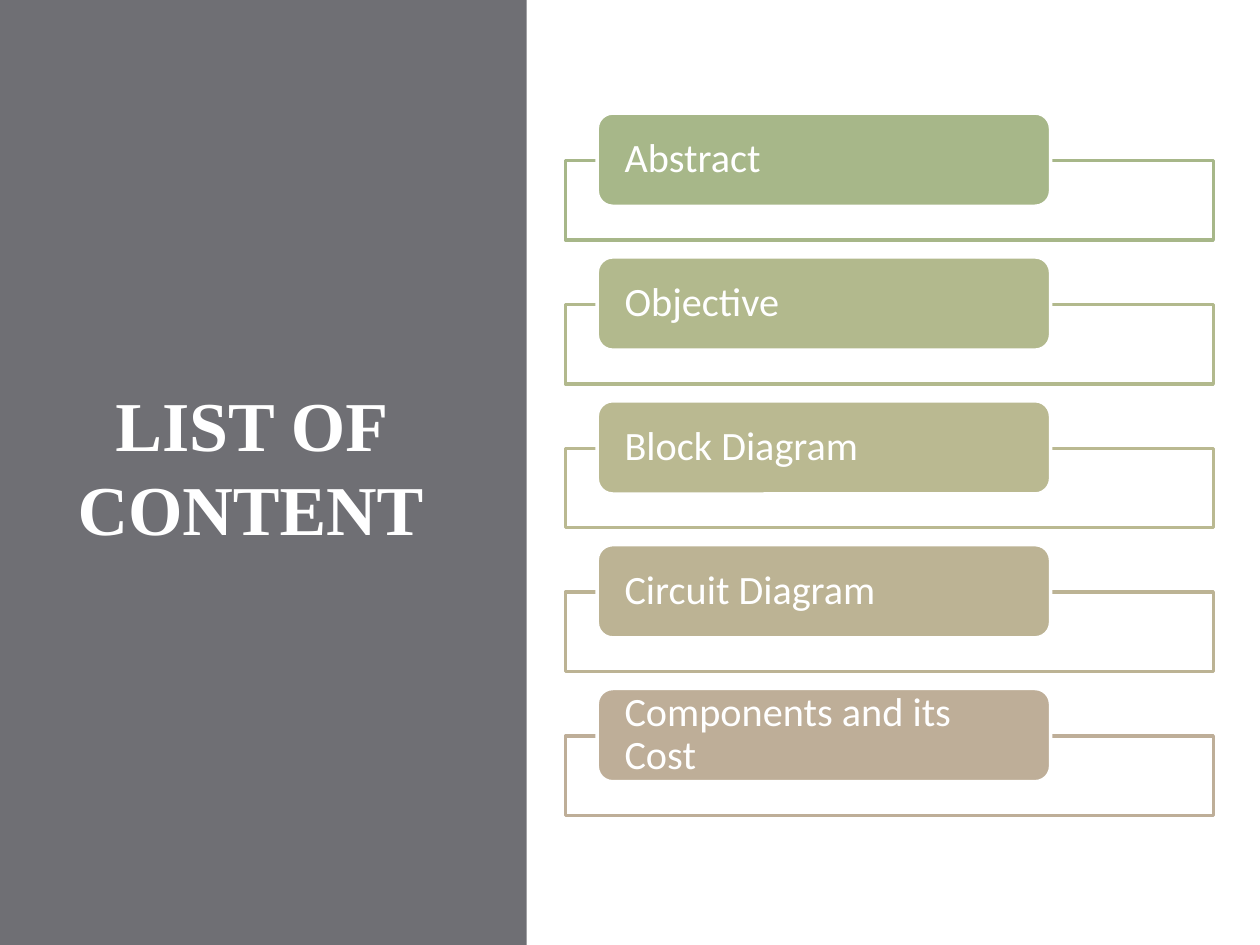
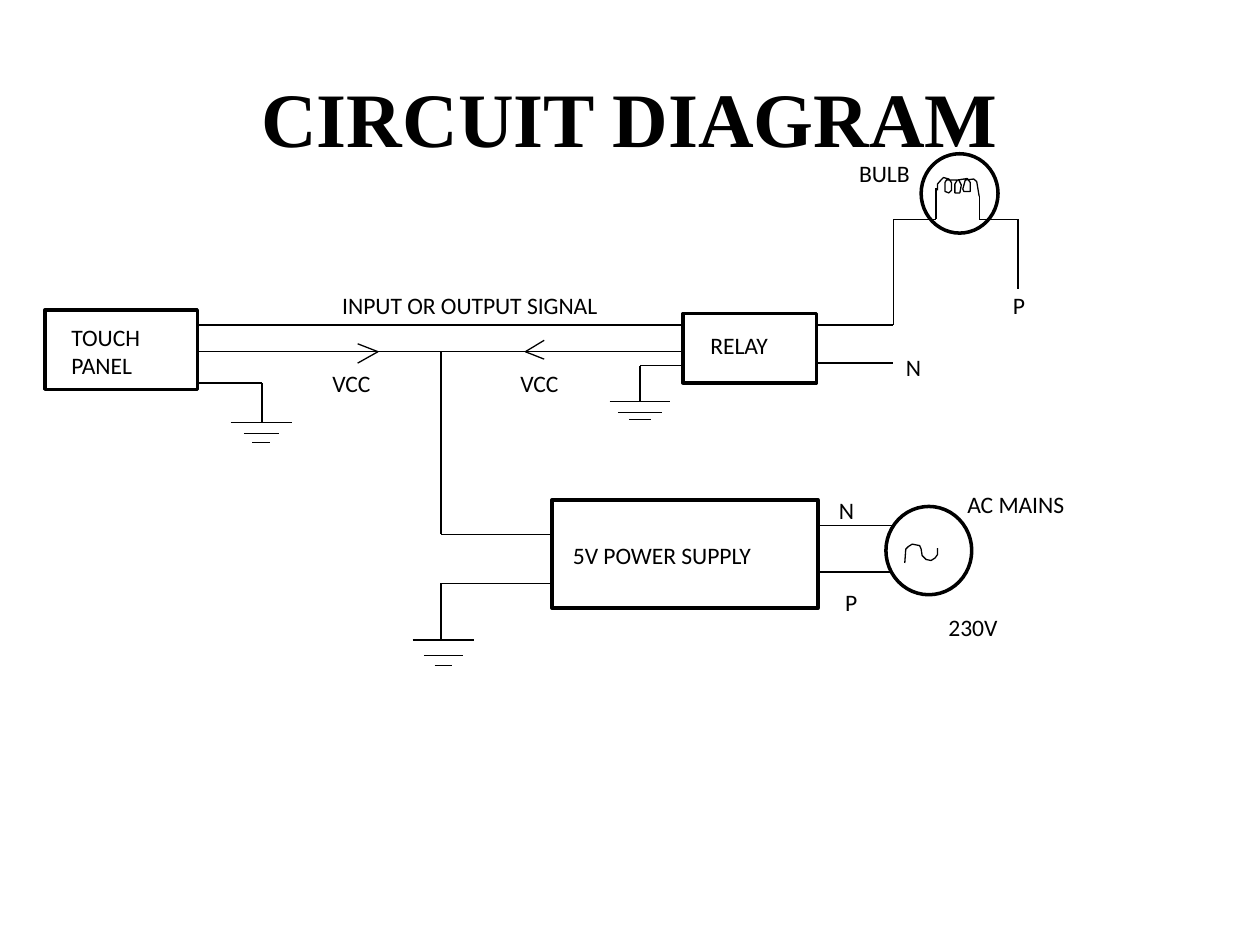
"""Builds the contents slide and the circuit diagram slide."""
from itertools import pairwise

from pptx import Presentation
from pptx.dml.color import RGBColor
from pptx.enum.shapes import MSO_CONNECTOR as LINE, MSO_SHAPE as SHAPE
from pptx.enum.text import MSO_ANCHOR as ANCHOR, PP_ALIGN as ALIGN
from pptx.oxml.ns import qn
from pptx.util import Cm, Pt

CONTENTS = [
    ("Abstract", "A7B789"),
    ("Objective", "B2B98D"),
    ("Block Diagram", "BAB991"),
    ("Circuit Diagram", "BCB394"),
    ("Components and its Cost", "BEAE98"),
]

WIRES = [
    [(3.99, 6.55), (13.77, 6.55)],
    [(3.99, 7.09), (13.77, 7.09)],
    [(7.21, 6.93), (7.62, 7.09), (7.21, 7.32)],
    [(10.97, 6.86), (10.59, 7.09), (10.97, 7.24)],
    [(3.99, 7.72), (5.28, 7.72), (5.28, 8.51)],
    [(13.77, 7.37), (12.9, 7.37), (12.9, 8.1)],
    [(8.89, 7.09), (8.89, 10.77), (11.13, 10.77)],
    [(11.13, 11.76), (8.89, 11.76), (8.89, 12.9)],
    [(16.46, 6.55), (18.01, 6.55), (18.01, 4.42), (18.87, 4.42), (18.87, 3.78)],
    [(19.74, 3.96), (19.74, 4.42), (20.52, 4.42), (20.52, 5.82)],
    [(16.46, 7.32), (18.01, 7.32)],
    [(16.46, 10.59), (18.01, 10.59)],
    [(16.46, 11.53), (18.01, 11.53)],
]

GROUNDS = [
    (5.27, [(8.51, 1.24), (8.74, 0.71), (8.92, 0.36)]),
    (12.9, [(8.1, 1.22), (8.31, 0.89), (8.46, 0.43)]),
    (8.94, [(12.9, 1.24), (13.21, 0.79), (13.41, 0.36)]),
]

PARTS = [
    (SHAPE.RECTANGLE, 0.91, 6.25, 3.07, 1.6),
    (SHAPE.RECTANGLE, 13.77, 6.32, 2.69, 1.4),
    (SHAPE.RECTANGLE, 11.13, 10.08, 5.36, 2.18),
    (SHAPE.OVAL, 18.57, 3.1, 1.55, 1.6),
    (SHAPE.OVAL, 17.86, 10.21, 1.73, 1.78),
]

LABELS = [
    ("TOUCH PANEL", 1.19, 6.38, 2.49),
    ("RELAY", 14.07, 6.55, 2.97),
    ("5V POWER SUPPLY", 11.3, 10.77, 4.67),
    ("BULB", 17.07, 3.07, 2.26),
    ("P", 20.17, 5.74, 1.55),
    ("N", 18.01, 6.99, 2.97),
    ("INPUT OR OUTPUT SIGNAL", 6.65, 5.74, 5.79),
    ("VCC", 6.45, 7.32, 1.63),
    ("VCC", 10.24, 7.32, 1.65),
    ("N", 16.66, 9.88, 0.74),
    ("P", 16.79, 11.73, 0.74),
    ("230V", 18.87, 12.24, 1.88),
    ("AC MAINS", 19.25, 9.75, 2.46),
]

FILAMENT = [
    (18.9, 3.84), (18.9, 3.71), (18.97, 3.63), (19.02, 3.58), (19.13, 3.61),
    (19.18, 3.68), (19.18, 3.84), (19.13, 3.89), (19.05, 3.86), (19.05, 3.68),
    (19.08, 3.63), (19.33, 3.63), (19.38, 3.73), (19.35, 3.89), (19.25, 3.89),
    (19.25, 3.71), (19.3, 3.63), (19.5, 3.6), (19.56, 3.68), (19.56, 3.86),
    (19.43, 3.86), (19.41, 3.81), (19.46, 3.63), (19.63, 3.61), (19.69, 3.66),
    (19.74, 3.96),
]

SINE = [
    (18.24, 11.35), (18.26, 11.07), (18.31, 11.02), (18.39, 10.97), (18.54, 11),
    (18.57, 11.07), (18.59, 11.2), (18.67, 11.28), (18.77, 11.3), (18.85, 11.25),
    (18.9, 11.18), (18.9, 11.05),
]


def rgb(color):
    """Turn a hex string into a colour."""
    return RGBColor.from_string(color)


class Deck:
    """Holds the shared style and the current slide."""

    TITLE_FONT, BODY_FONT = "Times New Roman", "Calibri"
    INK, PAPER, PANEL = "000000", "FFFFFF", "6F6F74"
    THIN, THICK = 0.75, 2

    def __init__(self):
        """Open a presentation in 4:3 format."""
        self.prs = Presentation()
        self.prs.slide_width, self.prs.slide_height = Cm(25.4), Cm(19.05)

    def new_slide(self):
        """Start a blank slide."""
        self.s = self.prs.slides.add_slide(self.prs.slide_layouts[6])

    def paint(self, sp, fill=None, line=None, width=THICK):
        """Set the fill and outline of a shape, without shadow."""
        sp.shadow.inherit = False
        if fill:
            sp.fill.solid()
            sp.fill.fore_color.rgb = rgb(fill)
        else:
            sp.fill.background()
        if line:
            sp.line.color.rgb = rgb(line)
            sp.line.width = Pt(width)
        else:
            sp.line.fill.background()

    def shape(self, kind, x, y, w, h, fill=None, line=None):
        """Add a preset shape."""
        sp = self.s.shapes.add_shape(kind, Cm(x), Cm(y), Cm(w), Cm(h))
        self.paint(sp, fill, line)
        return sp

    def set_text(self, sp, text, size, color, font=BODY_FONT, bold=False,
                 align=ALIGN.LEFT, anchor=ANCHOR.MIDDLE):
        """Put one formatted paragraph into a shape."""
        tf = sp.text_frame
        tf.word_wrap, tf.vertical_anchor = True, anchor
        p = tf.paragraphs[0]
        p.text, p.alignment = text, align
        p.font.name, p.font.size, p.font.bold = font, Pt(size), bold
        p.font.color.rgb = rgb(color)
        return tf

    def box(self, x, y, w, h):
        """Add an empty text box."""
        return self.s.shapes.add_textbox(Cm(x), Cm(y), Cm(w), Cm(h))

    def title(self, text, x, y, w, h, size, color):
        """Add a bold centred title."""
        self.set_text(self.box(x, y, w, h), text, size, color,
                      self.TITLE_FONT, True, ALIGN.CENTER)

    def label(self, text, x, y, w):
        """Add a small caption."""
        self.set_text(self.box(x, y, w, 0.84), text, 13.5, self.INK,
                      anchor=ANCHOR.TOP)

    def entry(self, text, color, y):
        """Add a contents entry: a frame with a rounded tab over it."""
        self.shape(SHAPE.RECTANGLE, 11.4, y, 13.06, 1.6, self.PAPER, color)
        sp = self.shape(SHAPE.ROUNDED_RECTANGLE, 12.04, y - 0.96, 9.14, 1.88,
                        color, self.PAPER)
        tf = self.set_text(sp, text, 23, self.PAPER)
        tf.margin_left = tf.margin_right = Cm(0.46)
        tf.margin_top = tf.margin_bottom = 0
        tf.paragraphs[0].line_spacing = 0.9

    def wire(self, points):
        """Join points with straight connectors."""
        for (x1, y1), (x2, y2) in pairwise(points):
            c = self.s.shapes.add_connector(LINE.STRAIGHT, Cm(x1), Cm(y1),
                                            Cm(x2), Cm(y2))
            c.line.color.rgb = rgb(self.INK)
            c.line.width = Pt(self.THIN)
            spPr = c._element.spPr
            spPr.append(spPr.makeelement(qn("a:effectLst"), {}))

    def ground(self, x, bars):
        """Add a ground symbol of centred bars."""
        for y, w in bars:
            self.wire([(x - w / 2, y), (x + w / 2, y)])

    def curve(self, points):
        """Add an open freeform outline."""
        start, *rest = [(Cm(x), Cm(y)) for x, y in points]
        fb = self.s.shapes.build_freeform(*start)
        fb.add_line_segments(rest, close=False)
        self.paint(fb.convert_to_shape(), line=self.INK, width=self.THIN)


def contents_slide(deck):
    """Build the list of contents."""
    deck.new_slide()
    deck.shape(SHAPE.RECTANGLE, 0, 0, 10.62, 19.05, deck.PANEL)
    deck.title("LIST OF CONTENT", 1.09, 1.73, 7.92, 15.29, 40, deck.PAPER)
    for i, (text, color) in enumerate(CONTENTS):
        deck.entry(text, color, 3.24 + 2.9 * i)


def circuit_slide(deck):
    """Build the circuit diagram."""
    deck.new_slide()
    deck.title("CIRCUIT DIAGRAM", 1.27, 0.76, 22.86, 3.18, 44, deck.INK)
    for points in WIRES:
        deck.wire(points)
    for x, bars in GROUNDS:
        deck.ground(x, bars)
    for part in PARTS:
        deck.shape(*part, line=deck.INK)
    for points in (FILAMENT, SINE):
        deck.curve(points)
    for label in LABELS:
        deck.label(*label)


def main():
    """Build and save the deck."""
    deck = Deck()
    contents_slide(deck)
    circuit_slide(deck)
    deck.prs.save("out.pptx")


if __name__ == "__main__":
    main()
